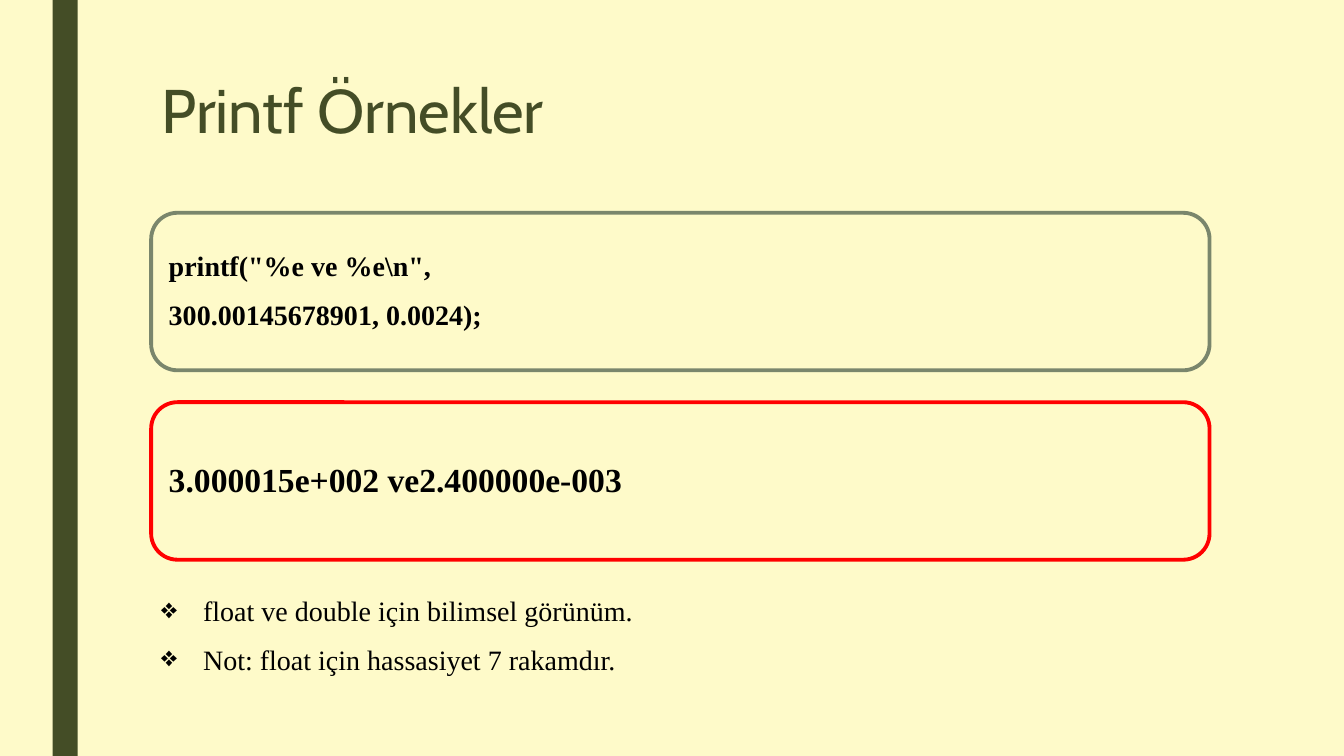
from dataclasses import dataclass

from lxml import etree
from pptx import Presentation
from pptx.dml.color import RGBColor
from pptx.enum import shapes, text
from pptx.oxml import ns
from pptx.util import Pt

LEFT, WIDTH = 108, 756
BODY_FONT = "Times New Roman"
OLIVE, BLACK = "444D26", "000000"


@dataclass
class CodeBox:
    top: float
    outline: str
    size: float
    lines: list[str]


CODE_BOXES = [
    CodeBox(152, "7A866C", 20, ['printf("%e ve %e\\n",', "300.00145678901, 0.0024);"]),
    CodeBox(287.3, "FF0000", 24, ["3.000015e+002 ve2.400000e-003"]),
]
NOTES = ["float ve double için bilimsel görünüm.",
         "Not: float için hassasiyet 7 rakamdır."]


def rgb(value: str) -> RGBColor:
    return RGBColor.from_string(value)


def place(shape, left: float, top: float, width: float, height: float) -> None:
    shape.left, shape.top = Pt(left), Pt(top)
    shape.width, shape.height = Pt(width), Pt(height)


def add_bullet(p, indent: float) -> None:
    pPr = p._p.get_or_add_pPr()
    pPr.set("marL", str(Pt(indent)))
    pPr.set("indent", str(Pt(-indent)))
    etree.SubElement(pPr, ns.qn("a:buChar")).set("char", "❖")


def write(tf, lines: list[str], size: float, color: str = BLACK,
          font: str = BODY_FONT, bold: bool = False, spacing: float = 0.94,
          bullet_indent: float = 0) -> None:
    tf.word_wrap = True
    tf.auto_size = text.MSO_AUTO_SIZE.NONE
    for i, line in enumerate(lines):
        p = tf.add_paragraph() if i else tf.paragraphs[0]
        if bullet_indent:
            add_bullet(p, bullet_indent)
        layout = {"alignment": text.PP_ALIGN.LEFT, "line_spacing": spacing,
                  "space_before": Pt(10 if i else 0), "space_after": Pt(2)}
        for name, value in layout.items():
            setattr(p, name, value)
        r = p.add_run()
        r.text = line
        for name, value in {"name": font, "size": Pt(size), "bold": bold}.items():
            setattr(r.font, name, value)
        r.font.color.rgb = rgb(color)


def add_code_box(s, box: CodeBox) -> None:
    sp = s.shapes.add_shape(shapes.MSO_SHAPE.ROUNDED_RECTANGLE, Pt(LEFT),
                            Pt(box.top), Pt(WIDTH), Pt(112.5))
    sp.shadow.inherit = False
    sp.fill.background()
    sp.line.color.rgb = rgb(box.outline)
    sp.line.width = Pt(2.75)
    sp.text_frame.vertical_anchor = text.MSO_ANCHOR.MIDDLE
    write(sp.text_frame, box.lines, box.size, bold=True)


def main() -> None:
    prs = Presentation()
    prs.slide_width, prs.slide_height = Pt(960), Pt(540)
    s = prs.slides.add_slide(prs.slide_layouts[5])
    s.background.fill.solid()
    s.background.fill.fore_color.rgb = rgb("FEFAC9")

    title = s.shapes.title
    place(title, LEFT, 54, WIDTH, 116.5)
    title.text_frame.vertical_anchor = text.MSO_ANCHOR.TOP
    write(title.text_frame, ["Printf Örnekler"], 44, OLIVE, "Cabin", spacing=0.89)

    bar = s.shapes.add_shape(shapes.MSO_SHAPE.RECTANGLE, Pt(37.5), 0, Pt(18), Pt(540))
    bar.shadow.inherit = False
    bar.fill.solid()
    bar.fill.fore_color.rgb = rgb(OLIVE)
    bar.line.fill.background()

    notes = s.shapes.add_textbox(Pt(LEFT), Pt(422.6), Pt(WIDTH), Pt(83.5))
    write(notes.text_frame, NOTES, 20, bullet_indent=30)

    for box in CODE_BOXES:
        add_code_box(s, box)

    prs.save("out.pptx")


if __name__ == "__main__":
    main()
